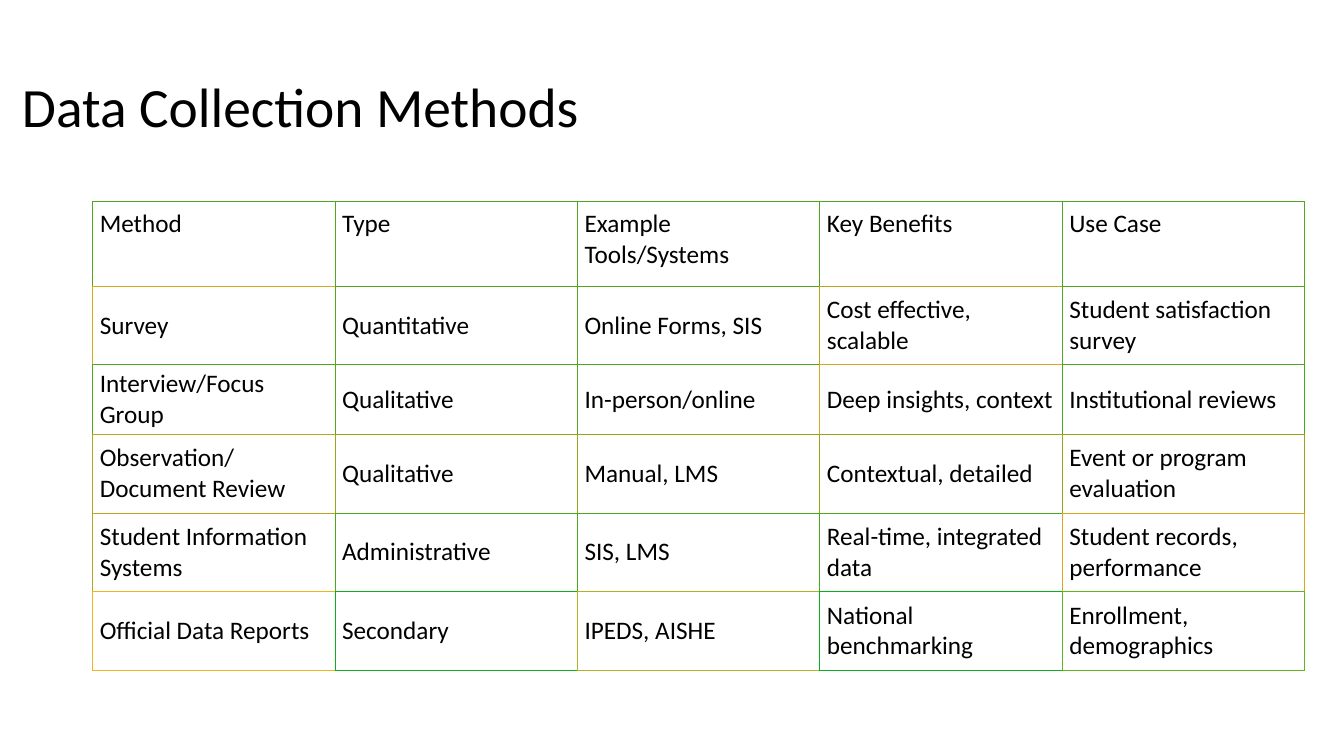
"""Build the data collection methods slide."""
from pptx import Presentation, util as u
from pptx.dml.color import RGBColor
from pptx.enum import text
from pptx.oxml import parse_xml
from pptx.oxml.ns import nsdecls

TITLE = "Data Collection Methods"
ROWS = [
    ("Method", "Type", "Example Tools/Systems", "Key Benefits", "Use Case"),
    ("Survey", "Quantitative", "Online Forms, SIS",
     "Cost effective, scalable", "Student satisfaction survey"),
    ("Interview/Focus Group", "Qualitative", "In-person/online",
     "Deep insights, context", "Institutional reviews"),
    ("Observation/Document Review", "Qualitative", "Manual, LMS",
     "Contextual, detailed", "Event or program evaluation"),
    ("Student Information Systems", "Administrative", "SIS, LMS",
     "Real-time, integrated data", "Student records, performance"),
    ("Official Data Reports", "Secondary", "IPEDS, AISHE",
     "National benchmarking", "Enrollment, demographics"),
]
THEME = {
    "font": "Calibri", "ink": "000000", "title": 39.6, "body": 18, "line": 0.75,
    "edges": [
        ("50A61E", "50A61E", "50A61E", "50A61E", "50A61E"),
        ("D8A81E", "50A61E", "50A61E", "B8A71E", "50A61E"),
        ("50A61E", "50A61E", "50A61E", "D8A81E", "48A81E"),
        ("B8A71E", "98A61E", "98A61E", "98A61E", "98A61E"),
        ("B8A71E", "48A81E", "48A81E", "48A81E", "D8A81E"),
        ("F0B41E", "10AD1E", "B0B21E", "08AF1E", "60B41E"),
    ],
}
TITLE_BOX = (0.12, 0.36, 11.5, 1.45)
LEFT, TOP, WIDTH = 0.92, 2, 12.02
HEIGHTS = (0.84, 0.78, 0.69, 0.78, 0.78, 0.78)


def style(par, size):
    """Set the font of a paragraph."""
    par.font.name = THEME["font"]
    par.font.size = u.Pt(size)
    par.font.color.rgb = RGBColor.from_string(THEME["ink"])


def border(cell, row, col):
    """Draw cell edges, sharing colours with the next cells right and below."""
    edges = THEME["edges"]
    own = edges[row][col]
    right = edges[row][min(col + 1, len(edges[row]) - 1)]
    below = edges[min(row + 1, len(edges) - 1)][col]
    props = cell._tc.get_or_add_tcPr()
    for side, tint in zip("LRTB", (own, right, own, below)):
        props.append(parse_xml(
            f'<a:ln{side} {nsdecls("a")} w="{u.Pt(THEME["line"])}"><a:solidFill>'
            f'<a:srgbClr val="{tint}"/></a:solidFill></a:ln{side}>'))


def add_title(slide):
    """Add the heading."""
    frame = slide.shapes.add_textbox(*map(u.Inches, TITLE_BOX)).text_frame
    frame.word_wrap = True
    frame.vertical_anchor = text.MSO_ANCHOR.MIDDLE
    par = frame.paragraphs[0]
    par.text = TITLE
    par.line_spacing = 0.9
    style(par, THEME["title"])


def add_grid(slide):
    """Add the table of methods."""
    count = len(ROWS[0])
    table = slide.shapes.add_table(
        len(ROWS), count, u.Inches(LEFT), u.Inches(TOP),
        u.Inches(WIDTH), u.Inches(sum(HEIGHTS))).table
    table.first_row = table.horz_banding = False
    for col in table.columns:
        col.width = u.Inches(WIDTH / count)
    for r, (words, height) in enumerate(zip(ROWS, HEIGHTS)):
        table.rows[r].height = u.Inches(height)
        for c, word in enumerate(words):
            cell = table.cell(r, c)
            cell.text = word
            style(cell.text_frame.paragraphs[0], THEME["body"])
            cell.margin_left = cell.margin_right = u.Inches(0.07)
            cell.margin_top = cell.margin_bottom = u.Inches(0.04 if r else 0.07)
            cell.vertical_anchor = text.MSO_ANCHOR.MIDDLE if r else text.MSO_ANCHOR.TOP
            border(cell, r, c)
            cell.fill.background()


def main():
    """Save the slide."""
    deck = Presentation()
    deck.slide_width, deck.slide_height = u.Inches(13.33), u.Inches(7.5)
    slide = deck.slides.add_slide(deck.slide_layouts[6])
    add_title(slide)
    add_grid(slide)
    deck.save("out.pptx")


if __name__ == "__main__":
    main()
